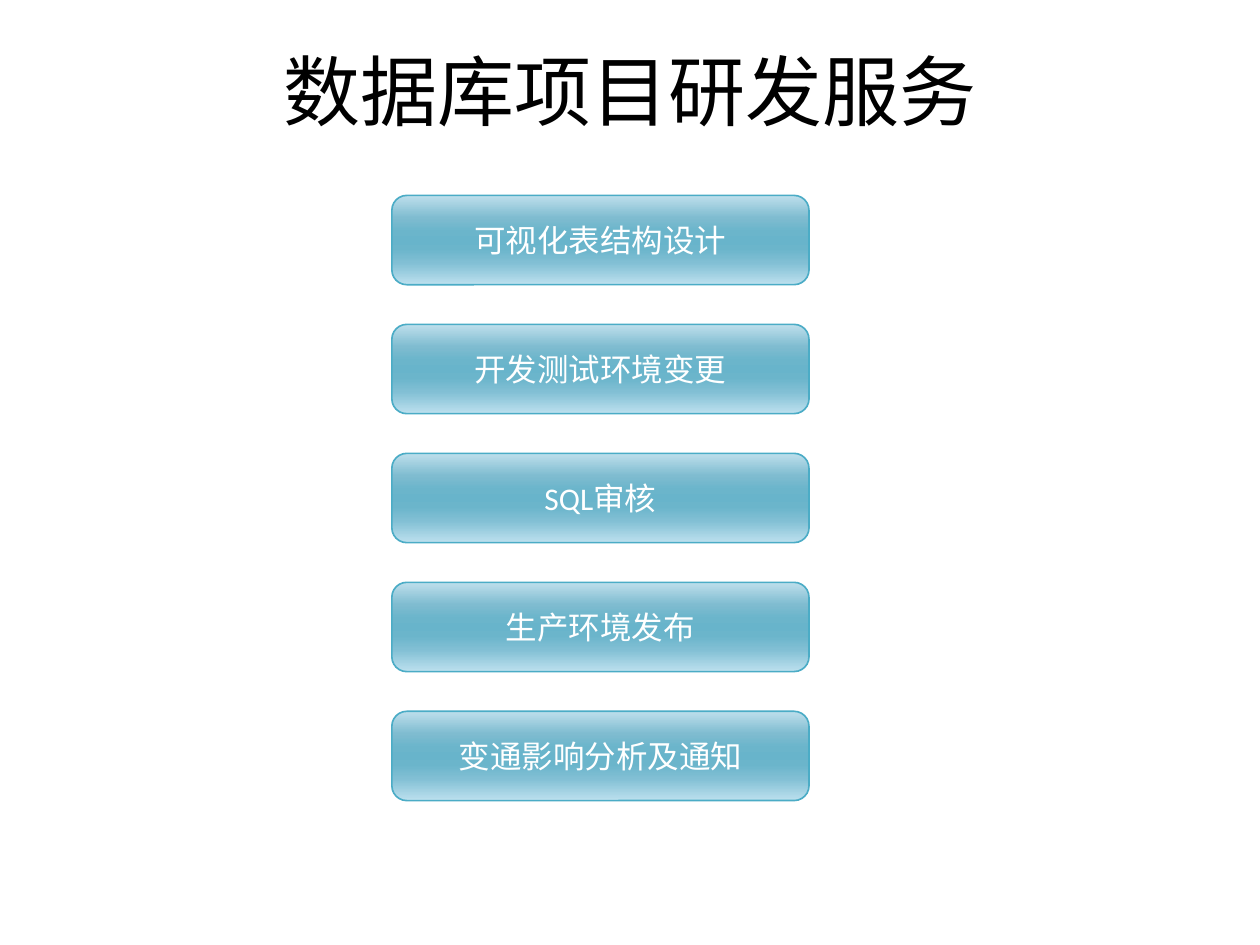
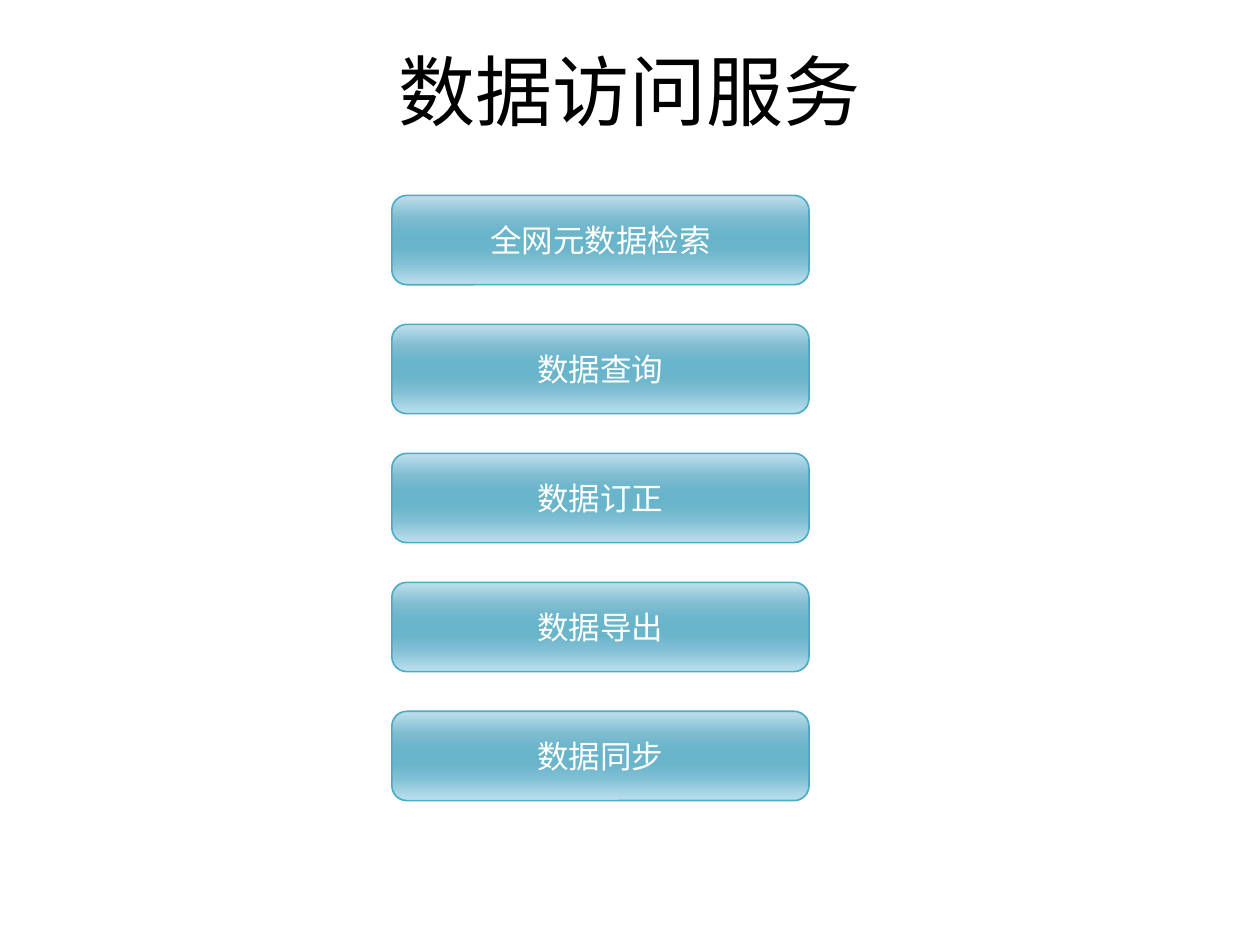
from lxml import etree
from pptx import Presentation
from pptx import util as u
from pptx.dml.color import RGBColor
from pptx.enum import shapes, text
from pptx.oxml.ns import qn

SERVICES = {
    "数据库项目研发服务": [
        "可视化表结构设计", "开发测试环境变更", "SQL审核", "生产环境发布", "变通影响分析及通知",
    ],
    "数据访问服务": [
        "全网元数据检索", "数据查询", "数据订正", "数据导出", "数据同步",
    ],
}

FONT = "Calibri"
TITLE_COLOUR, STEP_TEXT, STEP_EDGE = "000000", "FFFFFF", "4BACC6"
GLOSS = [(0, "BEDFEC"), (25, "7FBCD0"), (40, "6BB5CB"), (50, "68B4CB"),
         (60, "6BB5CB"), (75, "81BFD4"), (100, "BCE0EE")]

SLIDE_WIDTH, SLIDE_HEIGHT = 25.4, 19.05
TITLE_BOX = (1.27, 0.76, 22.86, 3.18)
STEP_LEFT, STEP_TOP, STEP_WIDTH, STEP_HEIGHT = 7.9, 3.94, 8.41, 1.8
STEP_PITCH = 2.6


def colour(hex_string):
    return RGBColor.from_string(hex_string)


def write(part, wording, size, hex_string, anchor):
    frame = part.text_frame
    frame.text = wording
    frame.word_wrap = True
    frame.vertical_anchor = anchor
    paragraph = frame.paragraphs[0]
    paragraph.alignment = text.PP_ALIGN.CENTER
    font = paragraph.runs[0].font
    font.name, font.size = FONT, u.Pt(size)
    font.color.rgb = colour(hex_string)


def add_gloss(step):
    step.fill.gradient()
    step.fill.gradient_angle = 270
    stops = step.element.spPr.find(qn("a:gradFill")).find(qn("a:gsLst"))
    for stop in list(stops):
        stops.remove(stop)
    for percent, hex_string in GLOSS:
        stop = etree.SubElement(stops, qn("a:gs"), pos=str(percent * 1000))
        etree.SubElement(stop, qn("a:srgbClr"), val=hex_string)


def add_title(slide, wording):
    title = slide.shapes.add_textbox(*map(u.Cm, TITLE_BOX))
    write(title, wording, 44, TITLE_COLOUR, text.MSO_ANCHOR.TOP)


def add_step(slide, row, wording):
    box = (STEP_LEFT, STEP_TOP + row * STEP_PITCH, STEP_WIDTH, STEP_HEIGHT)
    step = slide.shapes.add_shape(shapes.MSO_SHAPE.ROUNDED_RECTANGLE, *map(u.Cm, box))
    step.shadow.inherit = False
    add_gloss(step)
    step.line.color.rgb = colour(STEP_EDGE)
    step.line.width = u.Pt(0.94)
    write(step, wording, 18, STEP_TEXT, text.MSO_ANCHOR.MIDDLE)


def main():
    deck = Presentation()
    deck.slide_width, deck.slide_height = u.Cm(SLIDE_WIDTH), u.Cm(SLIDE_HEIGHT)
    for service, steps in SERVICES.items():
        slide = deck.slides.add_slide(deck.slide_layouts[6])
        add_title(slide, service)
        for row, wording in enumerate(steps):
            add_step(slide, row, wording)
    deck.save("out.pptx")


if __name__ == "__main__":
    main()
